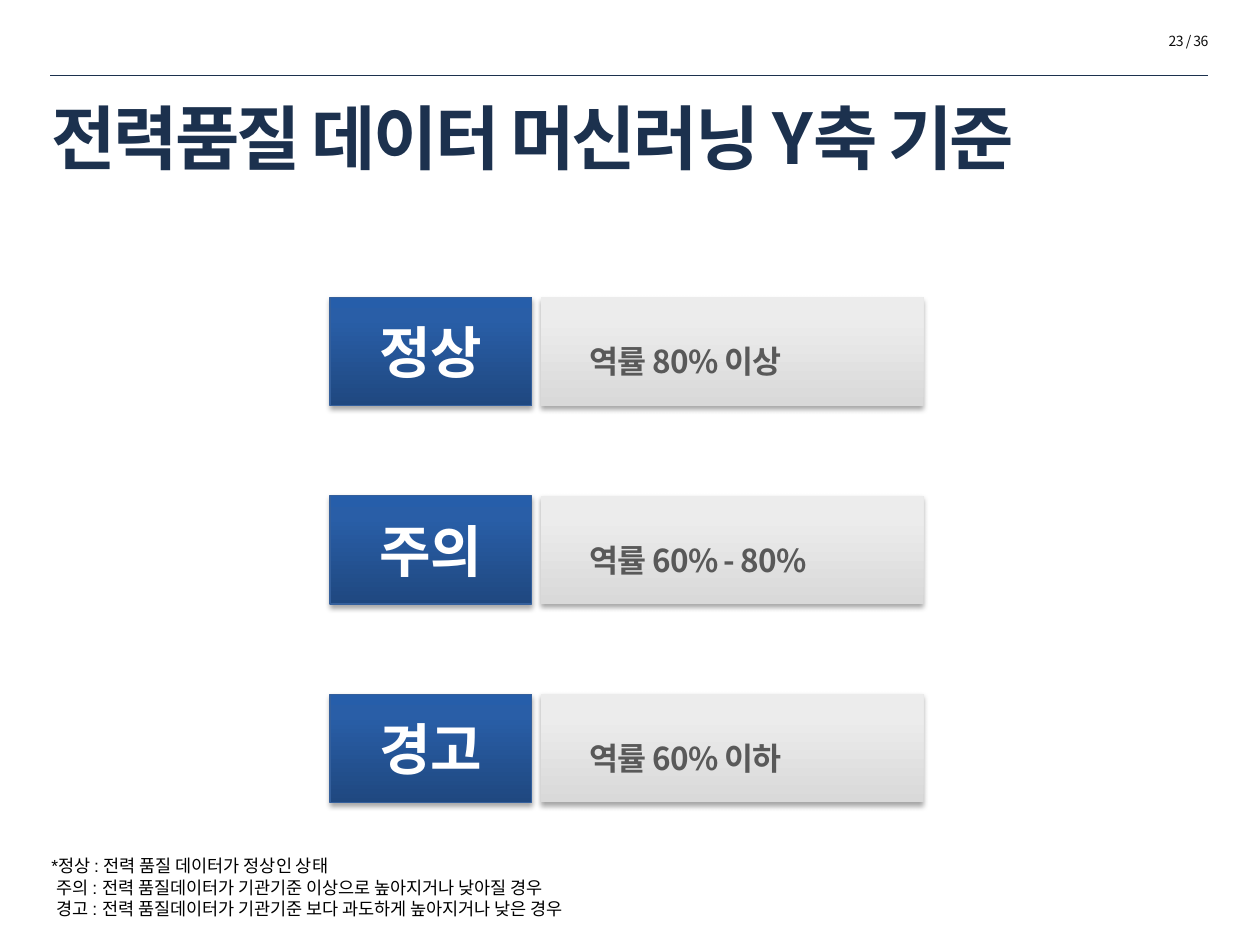
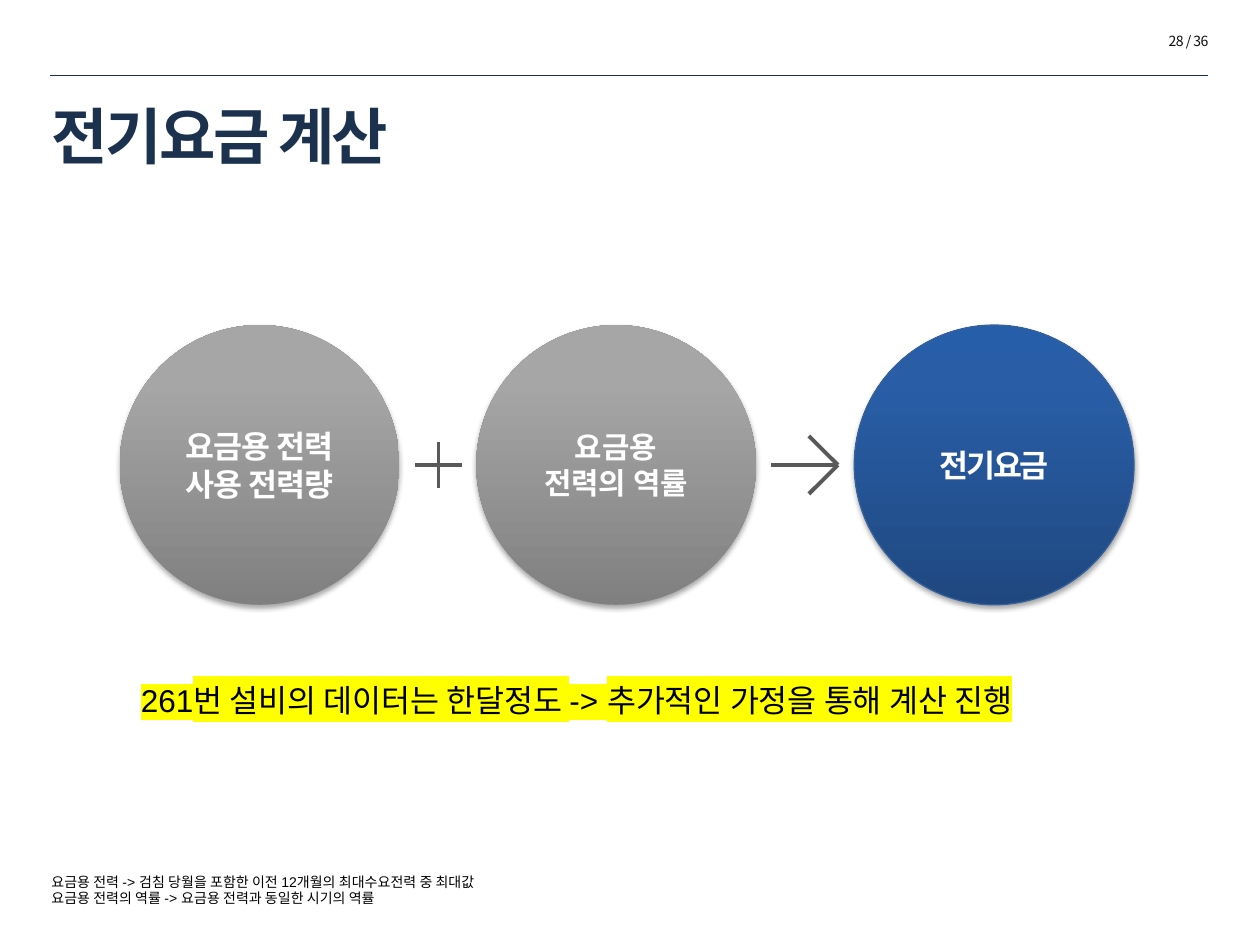
import pptx
import pptx.dml.color
import pptx.enum.shapes
import pptx.enum.text
import pptx.oxml
import pptx.oxml.ns
import pptx.util
from lxml import etree

ALIGN = pptx.enum.text.PP_ALIGN
ANCHOR = pptx.enum.text.MSO_ANCHOR
SHAPE = pptx.enum.shapes.MSO_SHAPE
qn = pptx.oxml.ns.qn

# Grid: 100 columns by 75 rows, shared by every slide
COLUMNS, ROWS = 100, 75

HEAD_FONT, BODY_FONT = "Noto Sans CJK KR", "Arial"
NAVY, INK, BLACK, WHITE = "1C314E", "0D0D0D", "000000", "FFFFFF"
DARK_GRAY, BLUE_EDGE, YELLOW = "595959", "35609C", "FFFF00"

# Gradient stops run from the bottom edge to the top edge
BLUE = [(0, "1F4880"), (80, "295EA7"), (100, "265EAA")]
GRAY = [(0, "808080"), (80, "A6A6A6")]
PALE = [(0, "D9D9D9"), (80, "ECECEC")]


def color(hex_value):
    return pptx.dml.color.RGBColor.from_string(hex_value)


def add_node(parent, tag, **attributes):
    node = etree.SubElement(parent, qn(tag))
    for name, value in attributes.items():
        node.set(name, str(value))
    return node


class Deck:
    """Holds the shared style and the slide being built."""

    def __init__(self):
        self.presentation = pptx.Presentation()
        self.presentation.slide_width = pptx.util.Inches(10)
        self.presentation.slide_height = pptx.util.Inches(7.5)
        self.slide = None

    def x(self, columns):
        return round(self.presentation.slide_width * columns / COLUMNS)

    def y(self, rows):
        return round(self.presentation.slide_height * rows / ROWS)

    def box(self, left, top, width, height):
        return self.x(left), self.y(top), self.x(width), self.y(height)

    def new_slide(self, number, title, size, top):
        layout = self.presentation.slide_layouts[5]
        self.slide = self.presentation.slides.add_slide(layout)
        self.line(4, 6, 95.9, 6, NAVY, 0.25)
        self.text((79.6, 2.1, 17.3, 2.4), [f"{number} / 36"], size=8,
                  font=HEAD_FONT, fill=INK, spacing=-0.3, align=ALIGN.RIGHT)
        shape = self.slide.shapes.title
        shape.left, shape.top, shape.width, shape.height = self.box(3.1, top, 91.9, 6.4)
        self.set_lines(shape.text_frame, [title], anchor=ANCHOR.MIDDLE, size=size,
                       font=HEAD_FONT, fill=NAVY, bold=True, spacing=-1.5)

    def set_lines(self, frame, lines, size, font=BODY_FONT, fill=BLACK, bold=False,
                  spacing=0, align=ALIGN.LEFT, anchor=ANCHOR.TOP, indents=(0,),
                  line_spacing=None, highlight=None):
        """Set one paragraph per line; indents are columns, the last one repeats."""
        frame.word_wrap = True
        frame.auto_size = pptx.enum.text.MSO_AUTO_SIZE.NONE
        frame.vertical_anchor = anchor
        for index, line in enumerate(lines):
            paragraph = frame.paragraphs[0] if index == 0 else frame.add_paragraph()
            run = paragraph.add_run()
            run.text = line
            paragraph.alignment = align
            if line_spacing:
                paragraph.line_spacing = line_spacing
            paragraph.font.size = pptx.util.Pt(size)
            paragraph.font.bold = bold
            paragraph.font.name = font
            paragraph.font.color.rgb = color(fill)
            # Indent, letter spacing and the Korean typeface
            properties = paragraph._p.get_or_add_pPr()
            properties.set("marL", str(self.x(indents[min(index, len(indents) - 1)])))
            properties.set("indent", "0")
            defaults = properties.find(qn("a:defRPr"))
            defaults.set("spc", str(round(spacing * 100)))
            if font == HEAD_FONT:
                add_node(defaults, "a:ea", typeface=font)
            if highlight:
                mark = add_node(run._r.get_or_add_rPr(), "a:highlight")
                add_node(mark, "a:srgbClr", val=highlight)

    def text(self, place, lines, **style):
        shape = self.slide.shapes.add_textbox(*self.box(*place))
        self.set_lines(shape.text_frame, lines, **style)

    def block(self, kind, place, stops, lines, edge=None, **style):
        """Draw a gradient shape with a soft shadow and centred-height text."""
        shape = self.slide.shapes.add_shape(kind, *self.box(*place))
        shape.shadow.inherit = False
        shape.fill.gradient()
        shape.fill.gradient_angle = 90
        properties = shape._element.spPr
        stop_list = properties.find(qn("a:gradFill")).find(qn("a:gsLst"))
        for old_stop in list(stop_list):
            stop_list.remove(old_stop)
        for position, hex_value in stops:
            stop = add_node(stop_list, "a:gs", pos=position * 1000)
            add_node(stop, "a:srgbClr", val=hex_value)
        if edge:
            shape.line.color.rgb = color(edge)
            shape.line.width = pptx.util.Pt(0.75)
        else:
            shape.line.fill.background()
        shadow = add_node(properties.find(qn("a:effectLst")), "a:outerShdw",
                          blurRad=pptx.util.Pt(3.1), dist=pptx.util.Pt(1.8),
                          dir=90 * 60000, rotWithShape=0)
        tint = add_node(shadow, "a:srgbClr", val=BLACK)
        add_node(tint, "a:alpha", val=35000)
        self.set_lines(shape.text_frame, lines, font=HEAD_FONT, bold=True,
                       anchor=ANCHOR.MIDDLE, **style)

    def line(self, x1, y1, x2, y2, fill, width, shapes=None):
        shapes = shapes or self.slide.shapes
        connector = shapes.add_connector(
            pptx.enum.shapes.MSO_CONNECTOR.STRAIGHT,
            self.x(x1), self.y(y1), self.x(x2), self.y(y2))
        connector.line.color.rgb = color(fill)
        connector.line.width = pptx.util.Pt(width)
        add_node(connector._element.spPr, "a:effectLst")

    def sign(self, strokes):
        """Group the strokes of one operator sign."""
        group = self.slide.shapes.add_group_shape()
        for stroke in strokes:
            self.line(*stroke, DARK_GRAY, 2.25, shapes=group.shapes)


def build_criteria(deck):
    deck.new_slide(23, "전력품질 데이터 머신러닝 Y축 기준", size=40, top=7.6)
    # One row per power factor level
    levels = [("정상", "역률 80% 이상"),
              ("주의", "역률 60% - 80%"),
              ("경고", "역률 60% 이하")]
    for index, (level, rule) in enumerate(levels):
        top = 23.6 + index * 15.75
        deck.block(SHAPE.RECTANGLE, (26.2, top, 16, 8.6), BLUE, [level],
                   edge=BLUE_EDGE, size=32, fill=WHITE, spacing=-0.5,
                   align=ALIGN.CENTER)
        deck.block(SHAPE.RECTANGLE, (42.9, top, 30.4, 8.6), PALE, [rule],
                   size=18, fill=DARK_GRAY, spacing=-0.5, indents=(2.9,),
                   line_spacing=1.5)
    # Definitions of the levels
    deck.text((3.1, 67.4, 49.4, 6.1),
              ["*정상 : 전력 품질 데이터가 정상인 상태",
               "주의 : 전력 품질데이터가 기관기준 이상으로 높아지거나 낮아질 경우",
               "경고 : 전력 품질데이터가 기관기준 보다 과도하게 높아지거나 낮은 경우"],
              size=10, indents=(0, 0.4))


def build_billing(deck):
    deck.new_slide(28, "전기요금 계산", size=35, top=7.5)
    # Two inputs and the resulting charge
    top, diameter = 25.8, 22.2
    middle = top + diameter / 2
    circles = [
        (9.5, GRAY, ["요금용 전력", "사용 전력량"], None, 18, -0.5),
        (37.8, GRAY, ["요금용", "전력의 역률"], None, 17, 0),
        (67.8, BLUE, ["전기요금"], BLUE_EDGE, 18, -1.2),
    ]
    for left, stops, lines, edge, size, spacing in circles:
        deck.block(SHAPE.OVAL, (left, top, diameter, diameter), stops, lines,
                   edge=edge, size=size, fill=WHITE, spacing=spacing,
                   align=ALIGN.CENTER)
    # Plus and arrow between the circles
    plus, arm = 34.8, 1.85
    deck.sign([(plus - arm, middle, plus + arm, middle),
               (plus, middle - arm, plus, middle + arm)])
    tip, barb = 66.5, 2.3
    deck.sign([(tip - barb, middle - barb, tip, middle),
               (tip, middle, tip - barb, middle + barb),
               (61.2, middle, tip, middle)])
    # Highlighted remark and definitions
    deck.text((10.2, 53.6, 80.3, 4),
              ["261번 설비의 데이터는 한달정도 -> 추가적인 가정을 통해 계산 진행"],
              size=18, highlight=YELLOW)
    deck.text((3.1, 68.8, 45, 3.7),
              ["요금용 전력 -> 검침 당월을 포함한 이전 12개월의 최대수요전력 중 최대값",
               "요금용 전력의 역률 -> 요금용 전력과 동일한 시기의 역률"],
              size=8)


def main():
    deck = Deck()
    build_criteria(deck)
    build_billing(deck)
    deck.presentation.save("out.pptx")


if __name__ == "__main__":
    main()
